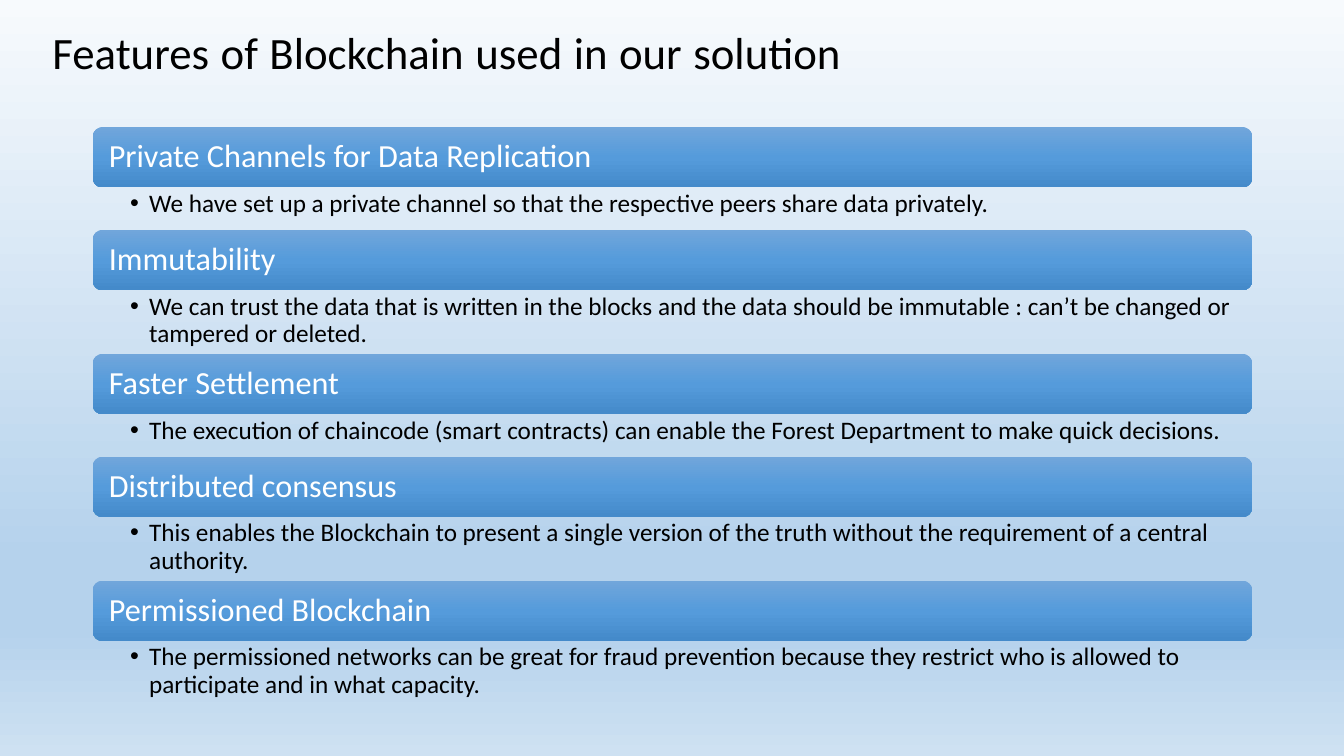
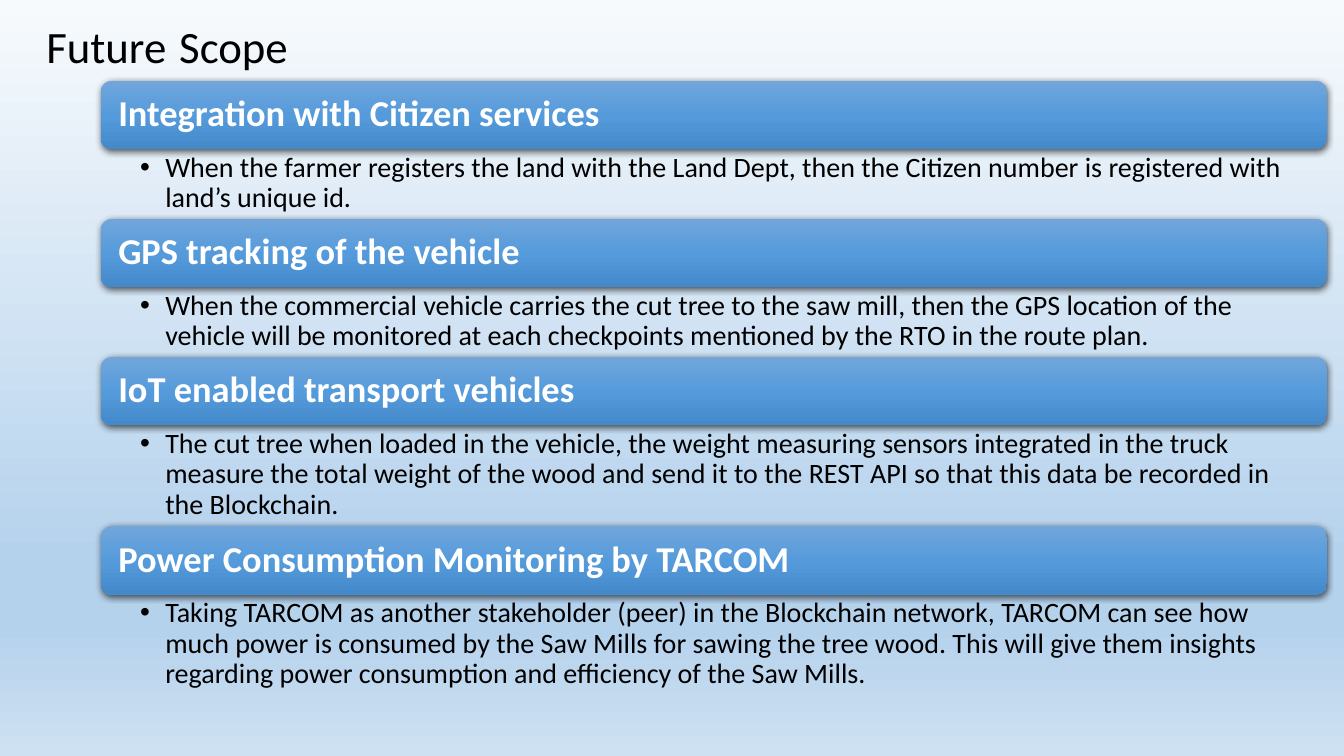
from dataclasses import dataclass

from lxml.etree import SubElement
from pptx import Presentation
from pptx.dml.color import RGBColor
from pptx.enum.shapes import MSO_SHAPE
from pptx.enum.text import MSO_ANCHOR, MSO_AUTO_SIZE, PP_ALIGN
from pptx.oxml.ns import qn
from pptx.util import Inches, Pt


@dataclass(frozen=True)
class Theme:
    font: str = "Calibri"
    text: str = "000000"
    title_gap: str = "262626"
    band_text: str = "FFFFFF"
    shadow: str = "000000"
    title_size: int = 32
    line_spacing: float = 0.9
    background: tuple = ((0, "F7FAFD"), (74, "B5D2EC"), (83, "B5D2EC"), (100, "CEE1F2"))
    band: tuple = ((0, "71A6DB"), (50, "559BDB"), (100, "448ACA"))


THEME = Theme()


@dataclass(frozen=True)
class Topic:
    heading: str
    detail: str
    lines: int


@dataclass(frozen=True)
class ListStyle:
    """Measures of one stack of headed bands; lengths in inches."""
    left: float
    top: float
    width: float
    band_height: float
    detail_heights: dict
    heading_size: int
    heading_inset: float
    heading_bold: bool
    detail_size: int
    detail_insets: tuple  # left, right, top and bottom
    bullet_indent: float
    shadowed: bool


@dataclass(frozen=True)
class TopicSlide:
    title: str
    title_box: tuple
    title_gap_size: int
    style: ListStyle
    topics: tuple


FEATURES = TopicSlide(
    "Features of Blockchain used in our solution", (0.42, 0.18, 8.79, 0.7), 36,
    ListStyle(left=0.92, top=1.26, width=11.5, band_height=0.6,
              detail_heights={1: 0.42, 2: 0.63}, heading_size=23, heading_inset=0.13,
              heading_bold=False, detail_size=18, detail_insets=(0.37, 0.18, 0.03),
              bullet_indent=0.19, shadowed=False),
    (
        Topic("Private Channels for Data Replication",
              "We have set up a private channel so that the respective peers share "
              "data privately.", 1),
        Topic("Immutability",
              "We can trust the data that is written in the blocks and the data should "
              "be immutable : can’t be changed or tampered or deleted.", 2),
        Topic("Faster Settlement",
              "The execution of chaincode (smart contracts) can enable the Forest "
              "Department to make quick decisions.", 1),
        Topic("Distributed consensus",
              "This enables the Blockchain to present a single version of the truth "
              "without the requirement of a central authority.", 2),
        Topic("Permissioned Blockchain",
              "The permissioned networks can be great for fraud prevention because they "
              "restrict who is allowed to participate and in what capacity.", 2),
    ),
)

FUTURE_SCOPE = TopicSlide(
    "Future Scope", (0.36, 0.16, 9.69, 0.59), 40,
    ListStyle(left=1, top=0.8, width=12.16, band_height=0.68,
              detail_heights={2: 0.69, 3: 1}, heading_size=26, heading_inset=0.14,
              heading_bold=True, detail_size=20, detail_insets=(0.39, 0.2, 0.04),
              bullet_indent=0.25, shadowed=True),
    (
        Topic("Integration with Citizen services",
              "When the farmer registers the land with the Land Dept, then the Citizen "
              "number is registered with land’s unique id.", 2),
        Topic("GPS tracking of the vehicle",
              "When the commercial vehicle carries the cut tree to the saw mill, then "
              "the GPS location of the vehicle will be monitored at each checkpoints "
              "mentioned by the RTO in the route plan.", 2),
        Topic("IoT enabled transport vehicles",
              "The cut tree when loaded in the vehicle, the weight measuring sensors "
              "integrated in the truck measure the total weight of the wood and send it "
              "to the REST API so that this data be recorded in the Blockchain.", 3),
        Topic("Power Consumption Monitoring by TARCOM",
              "Taking TARCOM as another stakeholder (peer) in the Blockchain network, "
              "TARCOM can see how much power is consumed by the Saw Mills for sawing the "
              "tree wood. This will give them insights regarding power consumption and "
              "efficiency of the Saw Mills.", 3),
    ),
)


# Shared formatting
def add_color(parent, color: str):
    return SubElement(parent, qn("a:srgbClr"), val=color)


def fill_gradient(fill, owner, stops: tuple) -> None:
    """Fill from top to bottom with any number of colour stops."""
    fill.gradient()
    fill.gradient_angle = 270
    stop_list = next(owner.iter(qn("a:gsLst")))
    for old_stop in list(stop_list):
        stop_list.remove(old_stop)
    for percent, color in stops:
        add_color(SubElement(stop_list, qn("a:gs"), pos=str(percent * 1000)), color)


def add_shadow(shape) -> None:
    effects = next(shape.element.iter(qn("a:effectLst")))
    outer = SubElement(effects, qn("a:outerShdw"), blurRad=str(Pt(4.5)),
                       dist=str(Pt(1.5)), dir="5400000", algn="ctr", rotWithShape="0")
    SubElement(add_color(outer, THEME.shadow), qn("a:alpha"), val="63000")


def add_run(paragraph, text: str, size: int, color: str, bold: bool = False) -> None:
    run = paragraph.add_run()
    run.text = text
    run.font.name = THEME.font
    run.font.size = Pt(size)
    run.font.bold = bold
    run.font.color.rgb = RGBColor.from_string(color)


def prepare_frame(frame, anchor, left: float, right: float, vertical: float):
    """Set up the frame and return its first paragraph."""
    frame.word_wrap = True
    frame.auto_size = MSO_AUTO_SIZE.NONE
    frame.vertical_anchor = anchor
    frame.margin_left, frame.margin_right = Inches(left), Inches(right)
    frame.margin_top = frame.margin_bottom = Inches(vertical)
    paragraph = frame.paragraphs[0]
    paragraph.alignment = PP_ALIGN.LEFT
    paragraph.line_spacing = THEME.line_spacing
    return paragraph


# Slide parts
def draw_title(slide, content: TopicSlide) -> None:
    title = slide.shapes.title
    title.left, title.top, title.width, title.height = map(Inches, content.title_box)
    paragraph = prepare_frame(title.text_frame, MSO_ANCHOR.MIDDLE, 0.1, 0.1, 0.05)
    for index, word in enumerate(content.title.split()):
        if index:
            add_run(paragraph, " ", content.title_gap_size, THEME.title_gap, bold=True)
        add_run(paragraph, word, THEME.title_size, THEME.text)


def draw_heading(slide, heading: str, top: float, style: ListStyle) -> None:
    band = slide.shapes.add_shape(
        MSO_SHAPE.ROUNDED_RECTANGLE, Inches(style.left), Inches(top),
        Inches(style.width), Inches(style.band_height))
    fill_gradient(band.fill, band.element, THEME.band)
    band.line.fill.background()
    band.shadow.inherit = False
    if style.shadowed:
        add_shadow(band)
    inset = style.heading_inset
    paragraph = prepare_frame(band.text_frame, MSO_ANCHOR.MIDDLE, inset, inset, inset)
    add_run(paragraph, heading, style.heading_size, THEME.band_text, style.heading_bold)


def draw_detail(slide, topic: Topic, top: float, style: ListStyle) -> None:
    detail = slide.shapes.add_textbox(
        Inches(style.left), Inches(top), Inches(style.width),
        Inches(style.detail_heights[topic.lines]))
    paragraph = prepare_frame(detail.text_frame, MSO_ANCHOR.TOP, *style.detail_insets)
    properties = next(detail.element.iter(qn("a:pPr")))
    indent = Inches(style.bullet_indent)
    properties.set("marL", str(indent))
    properties.set("indent", str(-indent))
    SubElement(properties, qn("a:buFont"), typeface="Arial")
    SubElement(properties, qn("a:buChar"), char="•")
    add_run(paragraph, topic.detail, style.detail_size, THEME.text)


def draw_slide(deck, content: TopicSlide) -> None:
    slide = deck.slides.add_slide(deck.slide_layouts.get_by_name("Title Only"))
    draw_title(slide, content)
    style = content.style
    top = style.top
    for topic in content.topics:
        draw_heading(slide, topic.heading, top, style)
        top += style.band_height
        draw_detail(slide, topic, top, style)
        top += style.detail_heights[topic.lines]


def main() -> None:
    deck = Presentation()
    deck.slide_width, deck.slide_height = Inches(13.33), Inches(7.5)
    # The master carries the background of every slide
    master = deck.slide_master
    fill_gradient(master.background.fill, master.element, THEME.background)
    for content in (FEATURES, FUTURE_SCOPE):
        draw_slide(deck, content)
    deck.save("out.pptx")


if __name__ == "__main__":
    main()
